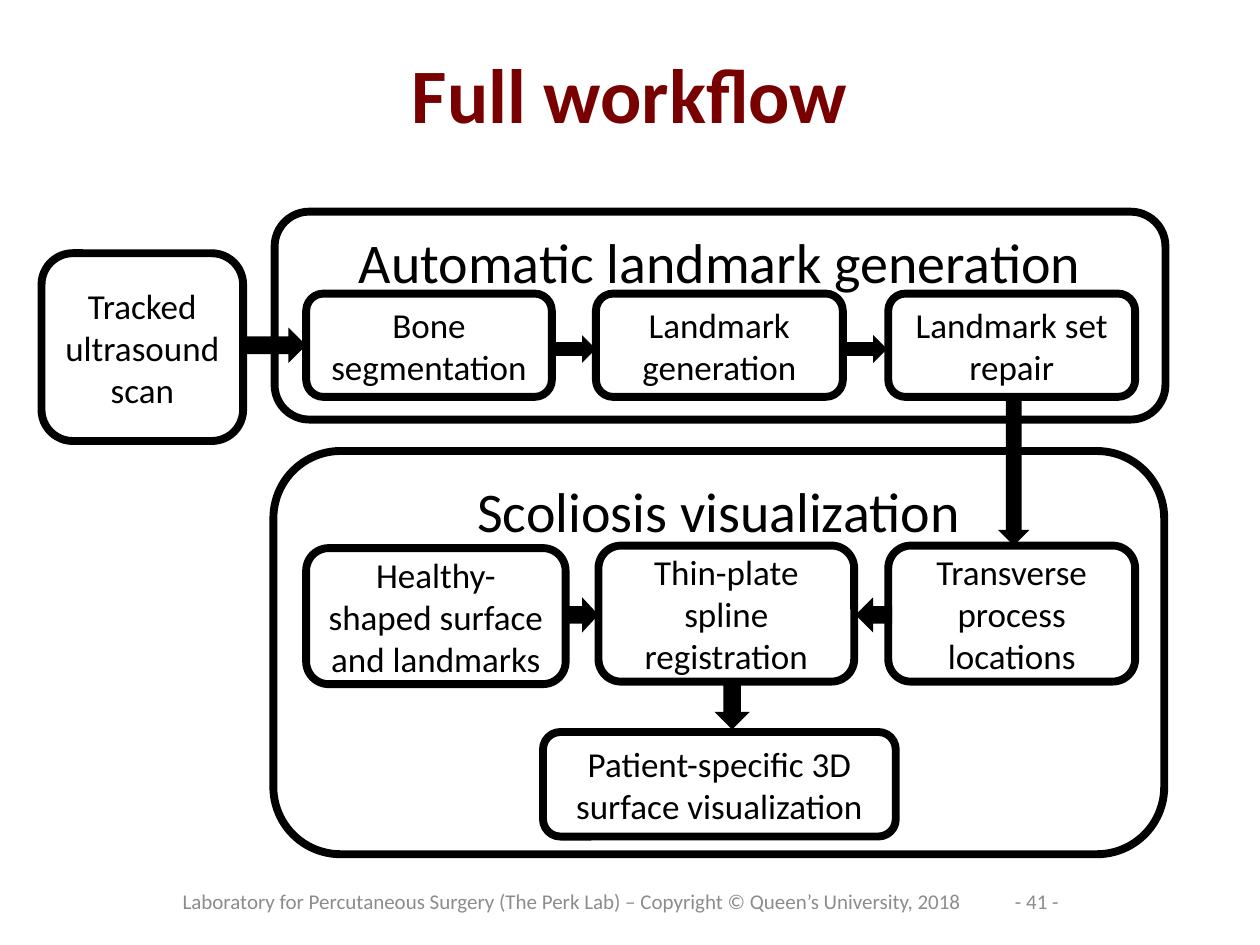
from pptx import Presentation
from pptx.dml.color import RGBColor
from pptx.enum.shapes import MSO_SHAPE
from pptx.enum.text import MSO_ANCHOR, PP_ALIGN
from pptx.util import Inches, Pt

FONT = "Calibri"
BLACK, MAROON, GRAY = "000000", "780000", "8C8C8C"

# Panels and steps: text, left, top, width, height
PANELS = [
    ("Automatic landmark generation", 2.18, 1.68, 7.07, 1.65),
    ("Scoliosis visualization", 2.17, 3.58, 7.07, 3.2),
]
STEPS = [
    ("Tracked ultrasound scan", 0.33, 2.01, 1.6, 1.49),
    ("Bone segmentation", 2.43, 2.33, 1.95, 0.82),
    ("Landmark generation", 4.73, 2.33, 1.96, 0.82),
    ("Landmark set repair", 7.05, 2.33, 1.96, 0.82),
    ("Healthy-shaped surface and landmarks", 2.43, 4.35, 2.06, 1.08),
    ("Thin-plate spline registration", 4.75, 4.33, 2.03, 1.08),
    ("Transverse process locations", 7.05, 4.33, 1.96, 1.08),
    ("Patient-specific 3D surface visualization", 4.31, 5.81, 2.8, 0.83),
]
# Flow arrows: left, top, width, height, rotation
ARROWS = [
    (1.96, 2.6, 0.47, 0.28, 0),     # scan to segmentation
    (4.39, 2.66, 0.34, 0.22, 0),    # segmentation to generation
    (6.69, 2.66, 0.35, 0.22, 0),    # generation to repair
    (7.45, 3.61, 1.19, 0.25, 90),   # repair to locations
    (4.49, 4.74, 0.26, 0.28, 0),    # healthy surface to registration
    (6.79, 4.74, 0.29, 0.28, 180),  # locations to registration
    (5.61, 5.45, 0.4, 0.28, 90),    # registration to visualization
]


def color(hex_string):
    return RGBColor.from_string(hex_string)


def write_text(shape, text, size=20, ink=BLACK, bold=False,
               align=PP_ALIGN.CENTER, anchor=MSO_ANCHOR.MIDDLE):
    frame = shape.text_frame
    frame.word_wrap = True
    frame.vertical_anchor = anchor
    paragraph = frame.paragraphs[0]
    paragraph.alignment = align
    run = paragraph.add_run()
    run.text = text
    run.font.name = FONT
    run.font.size = Pt(size)
    run.font.bold = bold
    run.font.color.rgb = color(ink)


def add_label(slide, text, *place, **text_format):
    label = slide.shapes.add_textbox(*map(Inches, place))
    write_text(label, text, **text_format)


def add_box(slide, text, *place, **text_format):
    box = slide.shapes.add_shape(MSO_SHAPE.ROUNDED_RECTANGLE, *map(Inches, place))
    box.shadow.inherit = False
    box.fill.background()
    box.line.color.rgb = color(BLACK)
    box.line.width = Pt(4.5)
    write_text(box, text, **text_format)


def add_arrow(slide, left, top, width, height, rotation):
    arrow = slide.shapes.add_shape(
        MSO_SHAPE.RIGHT_ARROW, *map(Inches, (left, top, width, height)))
    arrow.rotation = rotation
    arrow.shadow.inherit = False
    arrow.fill.solid()
    arrow.fill.fore_color.rgb = color(BLACK)
    arrow.line.fill.background()


def main():
    deck = Presentation()
    deck.slide_width, deck.slide_height = Inches(10), Inches(7.5)
    slide = deck.slides.add_slide(deck.slide_layouts[6])

    # Title and footer
    add_label(slide, "Full workflow", 0.5, 0.3, 9, 0.87,
              size=44, ink=MAROON, bold=True)
    add_label(slide, "Laboratory for Percutaneous Surgery (The Perk Lab) – "
              "Copyright © Queen’s University, 2018",
              1.25, 6.95, 6.58, 0.4, size=12, ink=GRAY)
    add_label(slide, "- 41 -", 7.92, 6.95, 0.58, 0.4,
              size=12, ink=GRAY, align=PP_ALIGN.RIGHT)

    # Workflow diagram
    for panel in PANELS:
        add_box(slide, *panel, size=32, anchor=MSO_ANCHOR.TOP)
    for step in STEPS:
        add_box(slide, *step)
    for arrow in ARROWS:
        add_arrow(slide, *arrow)

    deck.save("out.pptx")


if __name__ == "__main__":
    main()
